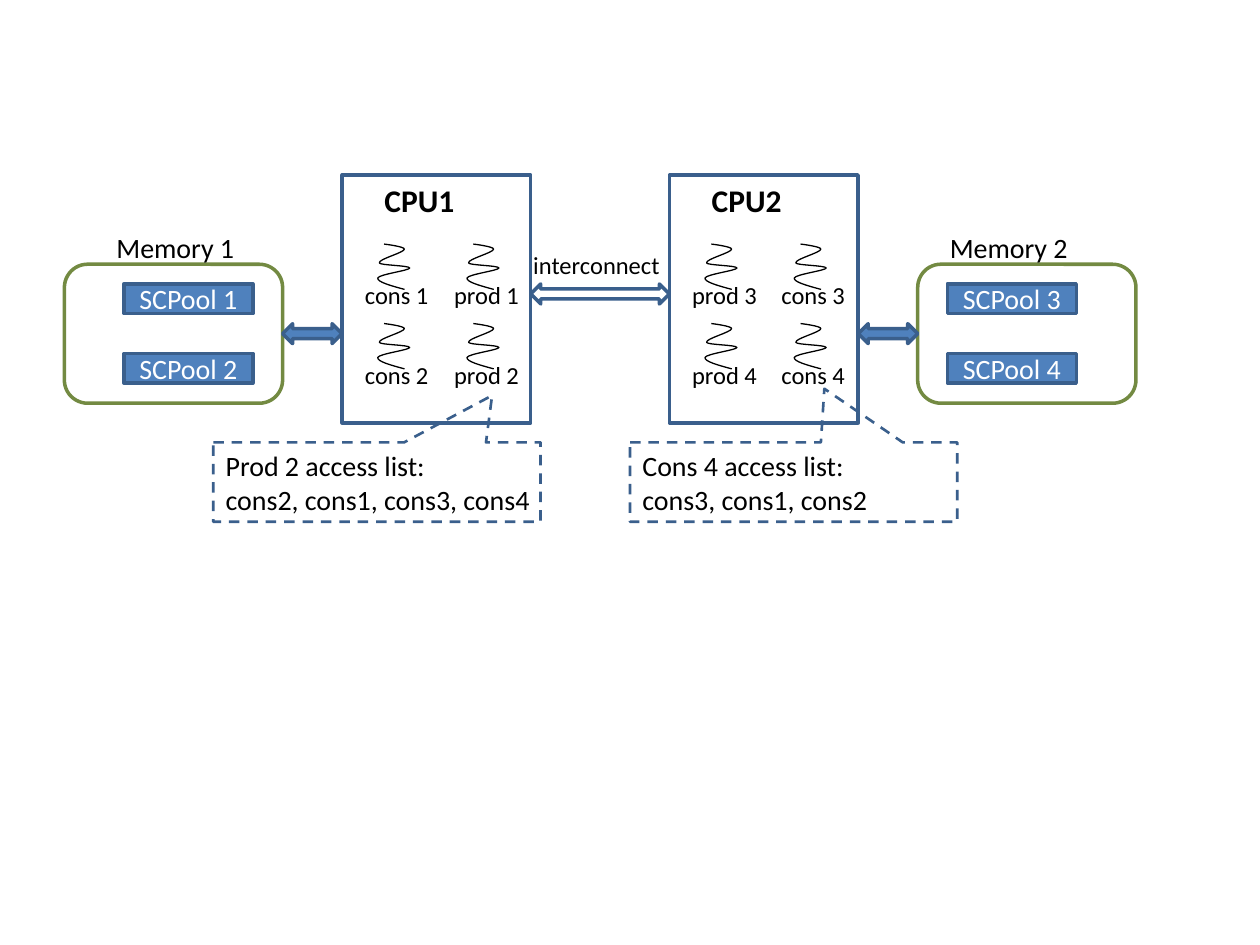
from pptx import Presentation
from pptx.dml.color import RGBColor
from pptx.enum.dml import MSO_LINE
from pptx.enum.shapes import MSO_SHAPE
from pptx.enum.text import MSO_ANCHOR, MSO_AUTO_SIZE, PP_ALIGN
from pptx.oxml.ns import qn
from pptx.util import Pt

RECTANGLE = MSO_SHAPE.RECTANGLE
ROUNDED = MSO_SHAPE.ROUNDED_RECTANGLE
DOUBLE_ARROW = MSO_SHAPE.LEFT_RIGHT_ARROW
CALLOUT = MSO_SHAPE.RECTANGULAR_CALLOUT
DASH = MSO_LINE.DASH
MIDDLE = MSO_ANCHOR.MIDDLE
FIT_SHAPE = MSO_AUTO_SIZE.SHAPE_TO_FIT_TEXT
LEFT, CENTER = PP_ALIGN.LEFT, PP_ALIGN.CENTER

BLUE, DARK_BLUE, GREEN = "4F81BD", "3A5F8C", "738A42"
BLACK, WHITE = "000000", "FFFFFF"

# Horizontal positions differ per node; vertical positions are shared.
NODES = [
    {
        "memory": "Memory 1", "memory_left": 36.8, "memory_label_left": 59.5,
        "pools": ["SCPool 1", "SCPool 2"], "pool_left": 70.8,
        "cpu": "CPU1", "cpu_left": 195.5, "bus_left": 161.5,
        "threads": [["cons 1", "prod 1"], ["cons 2", "prod 2"]],
    },
    {
        "memory": "Memory 2", "memory_left": 524.4, "memory_label_left": 535.7,
        "pools": ["SCPool 3", "SCPool 4"], "pool_left": 541.4,
        "cpu": "CPU2", "cpu_left": 382.5, "bus_left": 490.4,
        "threads": [["prod 3", "cons 3"], ["prod 4", "cons 4"]],
    },
]
ACCESS_LISTS = [
    (121.9, 191, ["Prod 2 access list:", "cons2, cons1, cons3, cons4"], (0.352, -1.09)),
    (360, 145, ["Cons 4 access list:", "cons3, cons1, cons2"], (0.094, -1.175)),
]

POOL_TOP, POOL_STEP = 162.2, 39.8
THREAD_TOP, THREAD_ROW_STEP, THREAD_COLUMN_STEP = 139.5, 45.4, 51
THREAD_START = (15.8, 25.9)
# Each row is one cubic curve: two control points and an end point.
THREAD_CURVES = [
    [(7.9, 23.8), (0, 21.6), (0.5, 19.4)],
    [(1.2, 17.3), (18.7, 15.1), (18.7, 13.7)],
    [(18.7, 12.2), (2, 12.2), (1.4, 10.8)],
    [(0.7, 8.6), (15.5, 5), (15.7, 2.9)],
    [(15.8, 1.4), (4.1, 0), (4.1, 0)],
]


def color(value):
    return RGBColor.from_string(value)


def write(shape, lines, size, text_color=BLACK, bold=False, align=LEFT):
    font_format = {"name": "Calibri", "size": Pt(size), "bold": bold}
    frame = shape.text_frame
    for index, line in enumerate(lines):
        paragraph = frame.add_paragraph() if index else frame.paragraphs[0]
        paragraph.alignment = align
        run = paragraph.add_run()
        run.text = line
        for name, value in font_format.items():
            setattr(run.font, name, value)
        run.font.color.rgb = color(text_color)


def add_label(parent, left, top, width, height, lines, size, bold=False):
    box = parent.shapes.add_textbox(Pt(left), Pt(top), Pt(width), Pt(height))
    box.text_frame.word_wrap = False
    box.text_frame.auto_size = FIT_SHAPE
    write(box, lines, size, bold=bold)


def style(shape, fill=None, line=DARK_BLUE, line_width=2):
    shape.shadow.inherit = False
    if fill:
        shape.fill.solid()
        shape.fill.fore_color.rgb = color(fill)
    else:
        shape.fill.background()
    shape.line.color.rgb = color(line)
    shape.line.width = Pt(line_width)


def add_box(slide, kind, left, top, width, height, **look):
    shape = slide.shapes.add_shape(kind, Pt(left), Pt(top), Pt(width), Pt(height))
    style(shape, **look)
    return shape


def bend_segments(shape):
    """Turn every three straight segments into one cubic curve."""
    segments = list(shape.element.iter(qn("a:lnTo")))
    for start in range(0, len(segments), 3):
        first, *others = segments[start:start + 3]
        curve = first.makeelement(qn("a:cubicBezTo"))
        first.addprevious(curve)
        for segment in (first, *others):
            curve.append(segment[0])
            segment.getparent().remove(segment)


def add_thread(slide, left, top, name):
    group = slide.shapes.add_group_shape()
    start, *points = [
        (Pt(left + x), Pt(top + y))
        for x, y in [THREAD_START, *sum(THREAD_CURVES, [])]]
    builder = group.shapes.build_freeform(*start)
    builder.add_line_segments(points, close=False)
    squiggle = builder.convert_to_shape()
    bend_segments(squiggle)
    style(squiggle, line=BLACK, line_width=0.75)
    add_label(group, left - 14, top + 17.2, 51.5, 24.2, [name], 14)


def add_node(slide, node):
    for row, name in enumerate(node["pools"]):
        pool = add_box(slide, RECTANGLE, node["pool_left"], POOL_TOP + row * POOL_STEP,
                       73.7, 17, fill=BLUE)
        pool.text_frame.vertical_anchor = MIDDLE
        write(pool, [name], 16, WHITE, align=CENTER)
    add_box(slide, ROUNDED, node["memory_left"], 151, 124.7, 79.4, line=GREEN)
    add_label(slide, node["memory_label_left"], 128.3, 82.6, 26.7, [node["memory"]], 16)

    cpu_left = node["cpu_left"]
    add_box(slide, RECTANGLE, cpu_left, 100, 107.8, 141.7)
    add_label(slide, cpu_left + 17.1, 100, 54.7, 29, [node["cpu"]], 18, bold=True)
    for row, names in enumerate(node["threads"]):
        for column, name in enumerate(names):
            add_thread(slide, cpu_left + 19.9 + column * THREAD_COLUMN_STEP,
                       THREAD_TOP + row * THREAD_ROW_STEP, name)
    add_box(slide, DOUBLE_ARROW, node["bus_left"], 185, 34, 11.4, fill=BLUE)


def main():
    presentation = Presentation()
    presentation.slide_width, presentation.slide_height = Pt(720), Pt(540)
    slide = presentation.slides.add_slide(presentation.slide_layouts[6])

    for node in NODES:
        add_node(slide, node)
    add_box(slide, DOUBLE_ARROW, 303.3, 162.3, 79.2, 11.4)
    for left, text_width, lines, tip in ACCESS_LISTS:
        add_label(slide, left, 252.8, text_width, 46, lines, 16)
        callout = add_box(slide, CALLOUT, left, 252.8, 187, 45.4, line_width=1.5)
        callout.line.dash_style = DASH
        callout.adjustments[0], callout.adjustments[1] = tip
    add_label(slide, 297.6, 139.5, 87.8, 24.2, ["interconnect"], 14)

    presentation.save("out.pptx")


if __name__ == "__main__":
    main()
